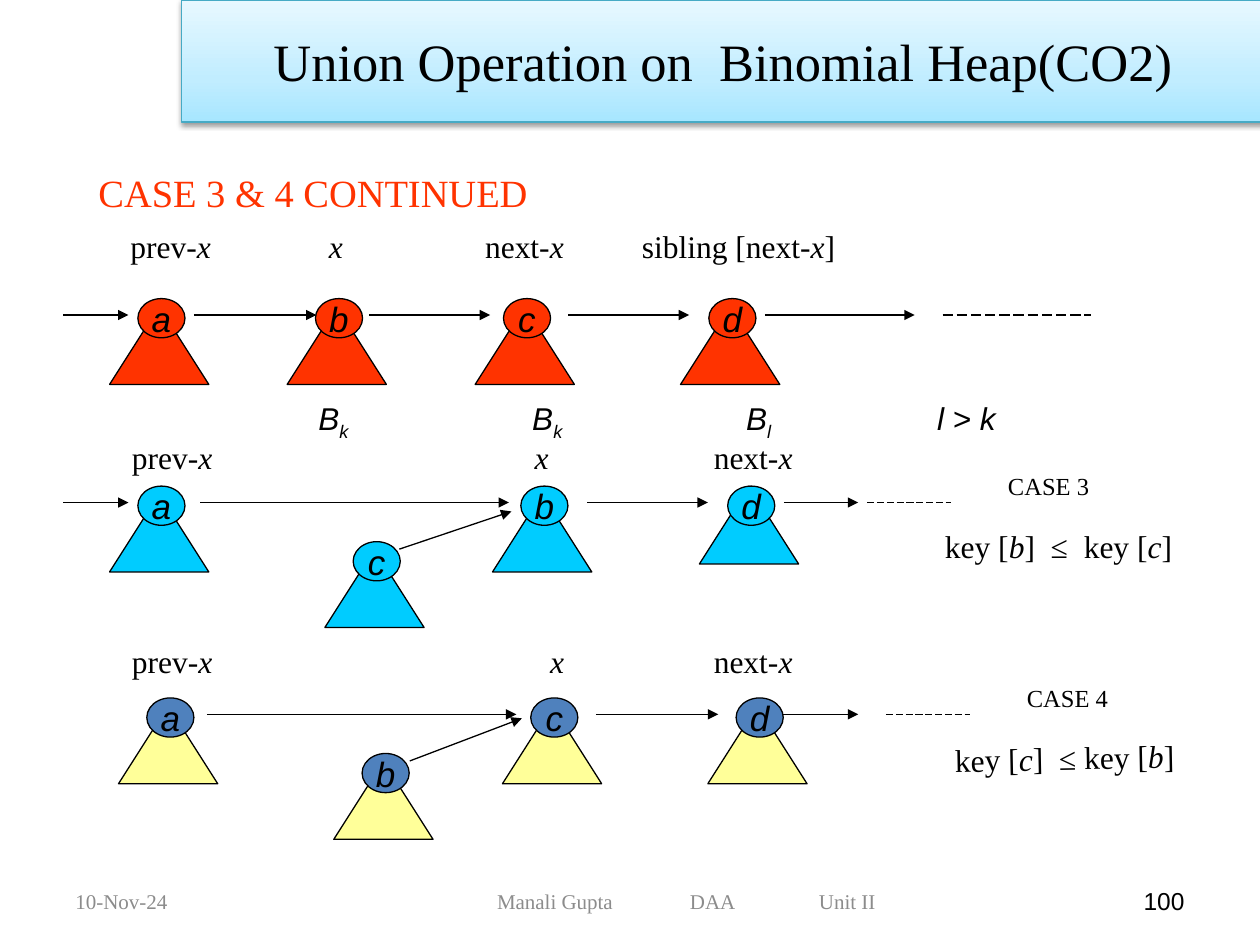
from lxml import etree
from pptx import Presentation
from pptx.dml.color import RGBColor
from pptx.enum.dml import MSO_LINE
from pptx.enum.shapes import MSO_CONNECTOR, MSO_SHAPE
from pptx.enum.text import MSO_ANCHOR, MSO_AUTO_SIZE, PP_ALIGN
from pptx.oxml import parse_xml
from pptx.oxml.ns import nsdecls, qn
from pptx.util import Cm, Pt

LEFT, CENTER, RIGHT = PP_ALIGN.LEFT, PP_ALIGN.CENTER, PP_ALIGN.RIGHT
TOP, MIDDLE = MSO_ANCHOR.TOP, MSO_ANCHOR.MIDDLE
NO_FIT = MSO_AUTO_SIZE.NONE
LONG_DASH = MSO_LINE.LONG_DASH
STRAIGHT = MSO_CONNECTOR.STRAIGHT
TRIANGLE, OVAL = MSO_SHAPE.ISOSCELES_TRIANGLE, MSO_SHAPE.OVAL

BLACK = RGBColor(0x00, 0x00, 0x00)
RED = RGBColor(0xFF, 0x33, 0x00)
CYAN = RGBColor(0x00, 0xCC, 0xFF)
YELLOW = RGBColor(0xFF, 0xFF, 0x99)
BLUE = RGBColor(0x4F, 0x81, 0xBD)
GRAY = RGBColor(0x8C, 0x8C, 0x8C)
TEAL = RGBColor(0x46, 0xAA, 0xC5)
SERIF, SANS = "Times New Roman", "Arial"

GRADIENT = f"""<a:gradFill {nsdecls('a')} rotWithShape="1"><a:gsLst>
<a:gs pos="0"><a:srgbClr val="A7E6FF"/></a:gs>
<a:gs pos="35000"><a:srgbClr val="C1EDFF"/></a:gs>
<a:gs pos="100000"><a:srgbClr val="E7F8FF"/></a:gs>
</a:gsLst><a:lin ang="16200000" scaled="1"/></a:gradFill>"""
SHADOW = f"""<a:effectLst {nsdecls('a')}>
<a:outerShdw blurRad="40000" dist="20000" dir="5400000" rotWithShape="0">
<a:srgbClr val="000000"><a:alpha val="38000"/></a:srgbClr>
</a:outerShdw></a:effectLst>"""

PREV = [("prev-", ""), ("x", "i")]
CURRENT = [("x", "i")]
NEXT = [("next-", ""), ("x", "i")]
SIBLING = [("sibling [next-", ""), ("x", "i"), ("]", "")]
ORDER_K = [("B", "i"), ("k", "i sub")]
ORDER_L = [("B", "i"), ("l", "i sub")]


def write(tf, runs, size=18, font=SERIF, color=BLACK, align=LEFT,
          anchor=TOP, wrap=True):
    tf.auto_size = NO_FIT
    tf.word_wrap = wrap
    tf.vertical_anchor = anchor
    p = tf.paragraphs[0]
    p.alignment = align
    p.space_before = Pt(0)
    pPr = p._p.get_or_add_pPr()
    pPr.set("marL", "0")
    pPr.set("indent", "0")
    etree.SubElement(pPr, qn("a:buNone"))
    for text, style in runs:
        r = p.add_run()
        r.text = text
        r.font.size = Pt(size)
        r.font.name = font
        r.font.color.rgb = color
        r.font.italic = "i" in style
        if "sub" in style:
            r._r.get_or_add_rPr().set("baseline", "-25000")


def add_text(s, x, y, w, h, runs, rotation=0, **fmt):
    box = s.shapes.add_textbox(Cm(x), Cm(y), Cm(w), Cm(h))
    box.rotation = rotation
    write(box.text_frame, runs, **fmt)


def add_labels(s, x, y, w, labels, **fmt):
    for dx, runs in labels:
        add_text(s, x + dx, y, w, 1.02, runs, **fmt)


def add_line(s, x1, y1, x2, y2, dash_width=None):
    c = s.shapes.add_connector(STRAIGHT, Cm(x1), Cm(y1), Cm(x2), Cm(y2))
    c.line.color.rgb = BLACK
    c.line.width = Pt(dash_width or 0.75)
    if dash_width:
        c.line.dash_style = LONG_DASH
    else:
        etree.SubElement(c.line._get_or_add_ln(), qn("a:tailEnd"), type="triangle")
    etree.SubElement(c._element.spPr, qn("a:effectLst"))


def add_outlined(s, kind, x, y, w, h, fill):
    sp = s.shapes.add_shape(kind, Cm(x), Cm(y), Cm(w), Cm(h))
    sp.shadow.inherit = False
    sp.fill.solid()
    sp.fill.fore_color.rgb = fill
    sp.line.color.rgb = BLACK
    sp.line.width = Pt(0.75)
    return sp


def add_tree(s, x, y, name, tree_fill, root_fill, gap):
    add_outlined(s, TRIANGLE, x, y + gap, 2, 1.57, tree_fill)
    root = add_outlined(s, OVAL, x + 0.57, y, 0.95, 0.79, root_fill)
    write(root.text_frame, [(name, "i")], size=20, font=SANS, align=CENTER,
          anchor=MIDDLE, wrap=False)


def add_heap_row(s, x, y, trees, fills, arrows, dash, dash_width,
                 labels, label_dy, child_link=None):
    add_labels(s, x, y + label_dy, 5, labels)
    arrow_y = y + 0.33
    for start, end in arrows:
        add_line(s, x + start, arrow_y, x + end, arrow_y)
    add_line(s, x + dash[0], arrow_y, x + dash[1], arrow_y, dash_width)
    if child_link:
        x1, y1, x2, y2 = child_link
        add_line(s, x + x1, y + y1, x + x2, y + y2)
    for name, dx, dy, gap in trees:
        add_tree(s, x + dx, y + dy, name, *fills, gap=gap)


def add_case(s, x, y, name, condition, condition_dx, rotation=0):
    add_text(s, x, y, 3.07, 0.84, [(name, "")], size=14)
    add_text(s, x + condition_dx, y + 1.12, 5.74, 1.02, condition,
             rotation=rotation)


def add_header(s, x, y, w, h):
    title = s.shapes.title
    title.left, title.top, title.width, title.height = Cm(x), Cm(y), Cm(w), Cm(h)
    title.line.color.rgb = TEAL
    title.line.width = Pt(0.75)
    spPr = title._element.spPr
    spPr.find(qn("a:ln")).addprevious(parse_xml(GRADIENT))
    spPr.append(parse_xml(SHADOW))
    write(title.text_frame, [("Union Operation on  Binomial Heap(CO2)", "")],
          size=30, align=CENTER, anchor=MIDDLE)


def add_heading(s, x, y, w, h):
    body = s.placeholders[1]
    body.left, body.top, body.width, body.height = Cm(x), Cm(y), Cm(w), Cm(h)
    write(body.text_frame, [("CASE 3 & 4 CONTINUED", "")], size=22, color=RED)


def add_footer(s, x, y):
    add_labels(s, x, y, 4,
               [(0, [("10-Nov-24", "")]), (8.5, [("Manali Gupta", "")]),
                (12.39, [("DAA", "")]), (14.99, [("Unit II", "")])],
               size=12, color=GRAY, anchor=MIDDLE)
    add_text(s, x + 16.94, y, 5.92, 1.02, [("100", "")], size=14, font=SANS,
             align=RIGHT, anchor=MIDDLE)


def main():
    prs = Presentation()
    prs.slide_width, prs.slide_height = Cm(25.4), Cm(19.05)
    s = prs.slides.add_slide(prs.slide_layouts[1])
    add_header(s, 3.66, 0, 21.84, 2.46)
    add_heading(s, 1.73, 3.28, 11.43, 1.47)

    left = 1.27
    add_heap_row(
        s, left, 6.02,
        [("a", 0.94, 0, 0.16), ("b", 4.52, 0, 0.16),
         ("c", 8.31, 0, 0.16), ("d", 12.45, 0, 0.16)], (RED, RED),
        [(0, 1.32), (2.64, 5.11), (6.17, 8.61), (10.19, 12.62), (14.15, 17.17)],
        (17.73, 20.73), 0.75,
        [(1.11, PREV), (5.11, CURRENT), (8.26, NEXT), (11.42, SIBLING)], -1.57)
    add_labels(s, left, 7.92, 4,
               [(4.9, ORDER_K), (9.21, ORDER_K), (13.52, ORDER_L),
                (17.37, [("l > k", "i")])], font=SANS)

    add_heap_row(
        s, left, 9.8,
        [("a", 0.94, 0, 0.16), ("c", 5.28, 1.12, 0.16),
         ("b", 8.66, 0, 0.16), ("d", 12.83, 0, 0)], (CYAN, CYAN),
        [(0, 1.32), (2.77, 8.99), (10.57, 13), (14.53, 16.03)],
        (16.21, 17.91), 0.5,
        [(1.14, PREV), (9.26, CURRENT), (12.87, NEXT)], -1.09,
        child_link=(6.78, 1.27, 9.04, 0.51))
    add_case(s, 20.07, 9.37, "CASE 3",
             [("key [", ""), ("b", "i"), ("]  ≤  key [", ""), ("c", "i"), ("]", "")],
             -1.27)

    add_heap_row(
        s, left, 14.07,
        [("a", 1.12, 0, 0.16), ("b", 5.46, 1.12, 0.16),
         ("c", 8.86, 0, 0.16), ("d", 13, 0, 0.16)], (YELLOW, BLUE),
        [(2.9, 9.14), (10.74, 13.21), (14.5, 16.03)],
        (16.59, 18.29), 0.5,
        [(1.14, PREV), (9.57, CURRENT), (12.87, NEXT)], -1.26,
        child_link=(6.99, 1.27, 9.25, 0.41))
    add_case(s, 20.45, 13.64, "CASE 4",
             [("key [", ""), ("c", "i"), ("]  ≤ key [", ""), ("b", "i"), ("]", "")],
             -1.45, rotation=-1.1)

    add_footer(s, left, 17.65)
    prs.save("out.pptx")


if __name__ == "__main__":
    main()
